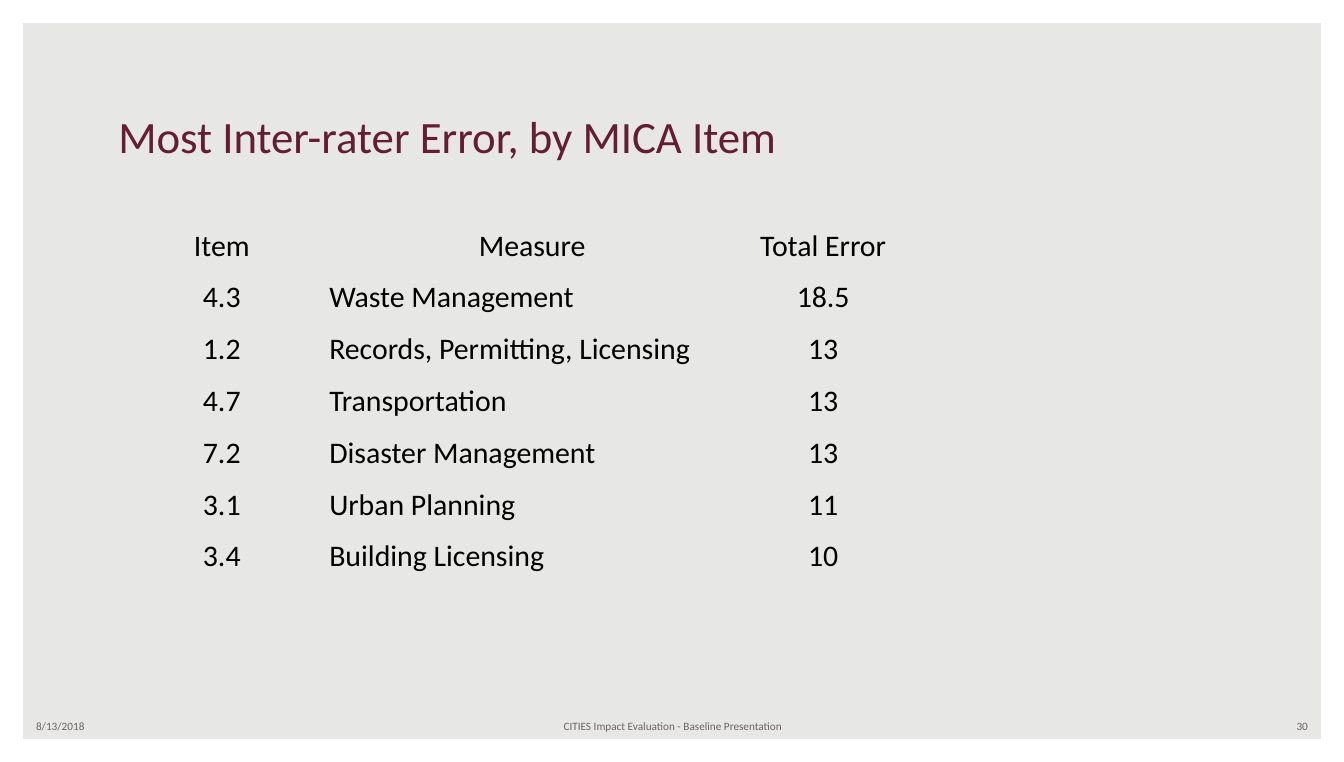
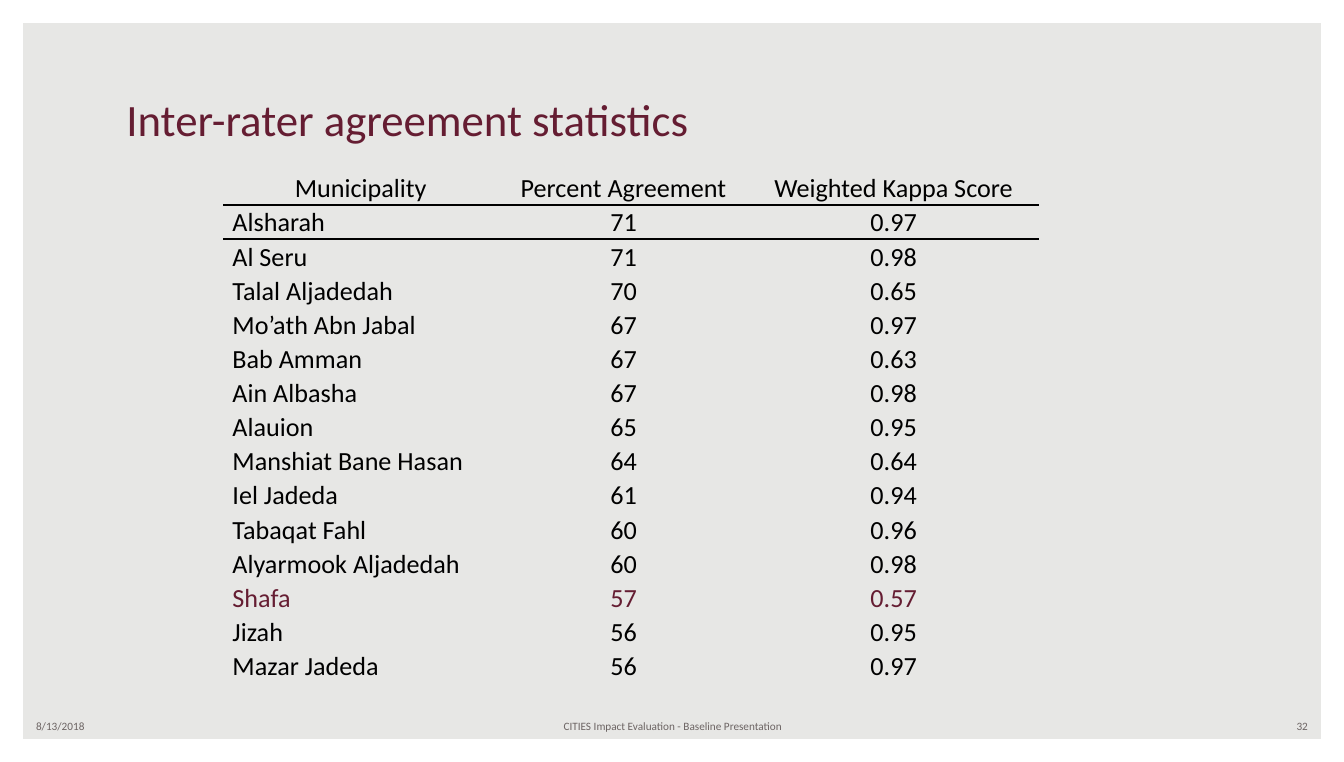
from lxml import etree
from pptx import Presentation
from pptx import util as u
from pptx.dml import color
from pptx.enum import shapes, text
from pptx.oxml import ns

FONT = "Calibri"
PAPER, WHITE, BLACK, WINE, GREY = "E7E7E5", "FFFFFF", "000000", "651D32", "6C6463"
WIDE, HIGH = 10, 5.67
LEFT, MID, RIGHT = text.PP_ALIGN.LEFT, text.PP_ALIGN.CENTER, text.PP_ALIGN.RIGHT
LOW, TOP = text.MSO_ANCHOR.BOTTOM, text.MSO_ANCHOR.TOP
PLAIN = "{2D5ABB26-0587-4C30-8999-92F81FD0307C}"

ERRORS = [
    ("Item", "Measure", "Total Error"),
    ("4.3", "Waste Management", "18.5"),
    ("1.2", "Records, Permitting, Licensing", "13"),
    ("4.7", "Transportation", "13"),
    ("7.2", "Disaster Management", "13"),
    ("3.1", "Urban Planning", "11"),
    ("3.4", "Building Licensing", "10"),
]
SCORES = [
    ("Municipality", "Percent Agreement", "Weighted Kappa Score"),
    ("Alsharah", "71", "0.97"),
    ("Al Seru", "71", "0.98"),
    ("Talal Aljadedah", "70", "0.65"),
    ("Mo’ath Abn Jabal", "67", "0.97"),
    ("Bab Amman", "67", "0.63"),
    ("Ain Albasha", "67", "0.98"),
    ("Alauion", "65", "0.95"),
    ("Manshiat Bane Hasan", "64", "0.64"),
    ("Iel Jadeda", "61", "0.94"),
    ("Tabaqat Fahl", "60", "0.96"),
    ("Alyarmook Aljadedah", "60", "0.98"),
    ("Shafa", "57", "0.57"),
    ("Jizah", "56", "0.95"),
    ("Mazar Jadeda", "56", "0.97"),
]


def paint(target, tint):
    """Give a fill one solid colour."""
    target.solid()
    target.fore_color.rgb = color.RGBColor.from_string(tint)


def write(frame, words, size, tint, align=LEFT):
    """Put one styled paragraph into a text frame."""
    frame.text = words
    para = frame.paragraphs[0]
    para.alignment = align
    para.font.name = FONT
    para.font.size = u.Pt(size)
    para.font.color.rgb = color.RGBColor.from_string(tint)
    return para


def place(box):
    return [u.Inches(n) for n in box]


# Frame, footers and title shared by the slides
def add_foot(slide, box, words, align):
    frame = slide.shapes.add_textbox(*place(box)).text_frame
    frame.word_wrap = True
    frame.vertical_anchor = text.MSO_ANCHOR.MIDDLE
    write(frame, words, 6, GREY, align)


def add_page(deck, title, left, top, number):
    slide = deck.slides.add_slide(deck.slide_layouts[5])
    border = slide.shapes.add_shape(shapes.MSO_SHAPE.FRAME, *place((0, 0, WIDE, HIGH)))
    border.adjustments[0] = 0.03
    border.shadow.inherit = False
    paint(border.fill, WHITE)
    border.line.fill.background()

    add_foot(slide, (0.17, 5.3, 2.33, 0.2), "8/13/2018", LEFT)
    add_foot(slide, (3.42, 5.3, 3.17, 0.2),
             "CITIES Impact Evaluation - Baseline Presentation", MID)
    add_foot(slide, (7.5, 5.3, 2.33, 0.2), number, RIGHT)

    head = slide.shapes.title
    head.left, head.top, head.width, head.height = place((left, top, 8.43, 0.5))
    frame = head.text_frame
    frame.auto_size = text.MSO_AUTO_SIZE.NONE
    frame.vertical_anchor = LOW
    write(frame, title, 24, WINE)
    return slide


# Tables
def rule(cell, side):
    """Draw a thin black rule on one side of a cell."""
    line = etree.Element(ns.qn("a:" + side), w=str(u.Pt(1)))
    fill = etree.SubElement(line, ns.qn("a:solidFill"))
    etree.SubElement(fill, ns.qn("a:srgbClr"), val=BLACK)
    cell._tc.get_or_add_tcPr().insert(0, line)


def add_grid(slide, box, rows, cols, size, names, pad=0, anchor=LOW,
             space=None, ruled=False, marked=()):
    """Fill a plain table; the names column is set left below its heading."""
    shape = slide.shapes.add_table(len(rows), len(cols), *place(box))
    grid = shape.table
    grid.first_row = grid.horz_banding = False
    grid._tbl.tblPr.find(ns.qn("a:tableStyleId")).text = PLAIN
    for col, width in zip(grid.columns, cols):
        col.width = u.Inches(width)
    for r, row in enumerate(rows):
        grid.rows[r].height = u.Inches(box[3] / len(rows))
        tint = WINE if row[0] in marked else BLACK
        for c, words in enumerate(row):
            cell = grid.cell(r, c)
            cell.margin_left = cell.margin_right = u.Inches(pad)
            cell.margin_top = cell.margin_bottom = 0
            cell.vertical_anchor = anchor if r else LOW
            cell.fill.background()
            align = LEFT if r and c == names else MID
            para = write(cell.text_frame, words, size, tint, align)
            if space:
                para.line_spacing = space
            if ruled and r < 2:
                rule(cell, "lnT" if r else "lnB")


def add_errors(deck):
    slide = add_page(deck, "Most Inter-rater Error, by MICA Item", 0.78, 0.76, "30")
    add_grid(slide, (0.85, 1.58, 5.93, 2.7), ERRORS, (1.6, 3.02, 1.31), 16, names=1)


def add_scores(deck):
    slide = add_page(deck, "Inter-rater agreement statistics", 0.84, 0.63, "32")
    add_grid(slide, (1.66, 1.27, 6.07, 3.81), SCORES, (2.05, 1.86, 2.16), 14, names=0,
             pad=0.07, anchor=TOP, space=1.07, ruled=True, marked=("Shafa",))


def main():
    deck = Presentation()
    deck.slide_width, deck.slide_height = place((WIDE, HIGH))
    paint(deck.slide_master.background.fill, PAPER)
    add_errors(deck)
    add_scores(deck)
    deck.save("out.pptx")


if __name__ == "__main__":
    main()
